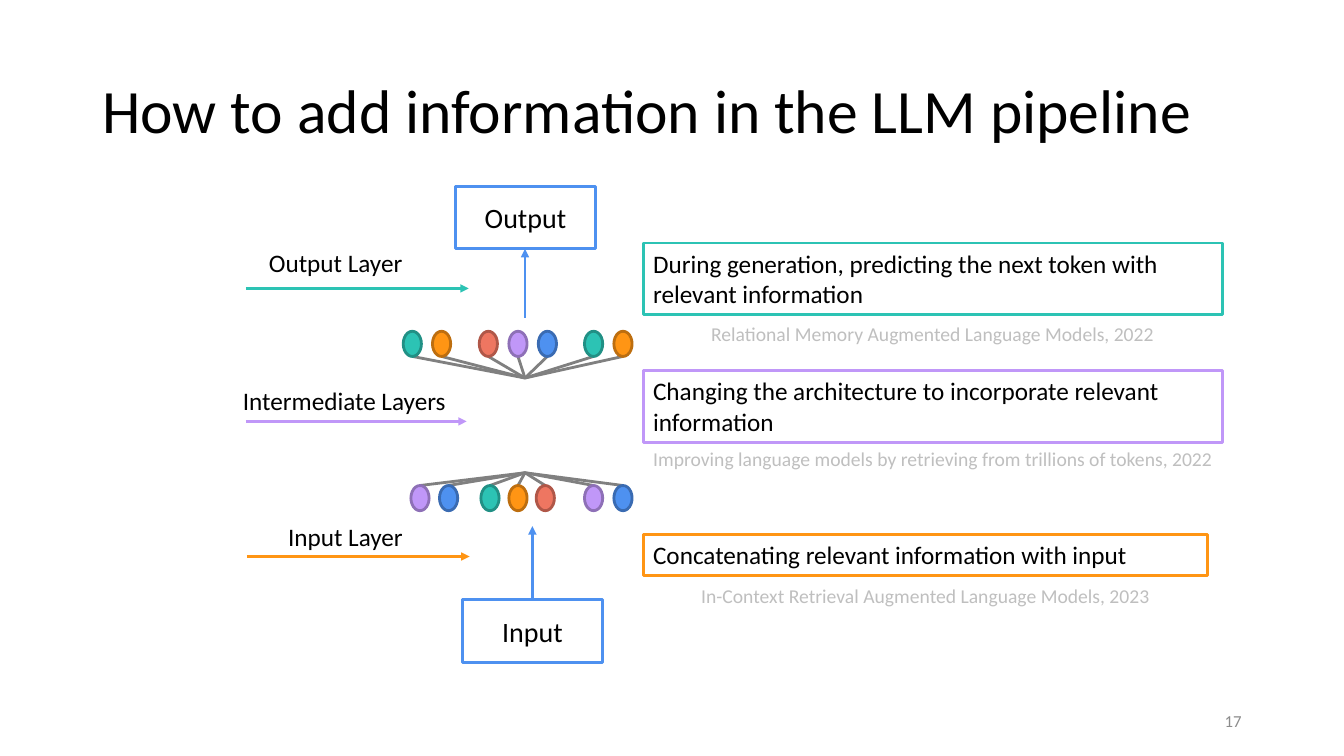
from dataclasses import dataclass

from lxml.etree import SubElement
from pptx import Presentation
from pptx.dml.color import RGBColor
from pptx.enum.shapes import MSO_CONNECTOR, MSO_SHAPE
from pptx.enum.text import MSO_ANCHOR, PP_ALIGN
from pptx.oxml.ns import qn
from pptx.shapes.autoshape import Shape
from pptx.slide import Slide
from pptx.util import Pt

BLACK = RGBColor(0x00, 0x00, 0x00)
NUMBER_GRAY = RGBColor(0x8C, 0x8C, 0x8C)
NOTE_GRAY = RGBColor(0xBF, 0xBF, 0xBF)
LINK_GRAY = RGBColor(0x80, 0x80, 0x80)
TEAL = RGBColor(0x2C, 0xC3, 0xB4)
ORANGE = RGBColor(0xFF, 0x95, 0x14)
RED = RGBColor(0xEE, 0x76, 0x61)
PURPLE = RGBColor(0xC0, 0x97, 0xF8)
BLUE = RGBColor(0x4E, 0x91, 0xF0)
OUTLINES = {
    TEAL: RGBColor(0x21, 0x90, 0x85),
    ORANGE: RGBColor(0xBD, 0x6E, 0x0F),
    RED: RGBColor(0xB0, 0x57, 0x48),
    PURPLE: RGBColor(0x8E, 0x70, 0xB7),
    BLUE: RGBColor(0x3A, 0x6B, 0xB2),
}

FONT = "Calibri"
LINE_WIDTH = 2
TOKEN_WIDTH, TOKEN_HEIGHT = 13, 18
HUB_X = 375
BOX_LEFT = 459.4

Point = tuple[float, float]
Frame = tuple[float, float, float, float]


@dataclass
class TokenRow:
    center_y: float
    hub_y: float
    tokens: list[tuple[float, RGBColor]]


@dataclass
class Layer:
    color: RGBColor
    label: str
    label_frame: Frame
    arrow_start: Point
    arrow_end_x: float
    method: str
    method_top: float
    method_size: Point
    paper: str
    paper_top: float
    paper_height: float


TOKEN_ROWS = [
    TokenRow(245.6, 270, [(294.5, TEAL), (315.4, ORANGE), (348.8, RED), (370, PURPLE),
                          (391, BLUE), (424, TEAL), (445, ORANGE)]),
    TokenRow(355.8, 337.7, [(300, PURPLE), (320.4, BLUE), (350, TEAL), (370, ORANGE),
                            (389.5, RED), (424, PURPLE), (445, BLUE)]),
]

LAYERS = [
    Layer(TEAL, "Output Layer", (185, 172.8, 123, 29), (175.7, 206), 334.8,
          "During generation, predicting the next token with relevant information",
          173.5, (413.6, 51),
          "Relational Memory Augmented Language Models, 2022", 226.1, 24.5),
    Layer(PURPLE, "Intermediate Layers", (166.4, 271.4, 178, 29), (175.7, 301), 333.4,
          "Changing the architecture to incorporate relevant information",
          264.8, (414, 51),
          "Improving language models by retrieving from trillions of tokens, 2022",
          315.4, 41),
    Layer(ORANGE, "Input Layer", (198.7, 368.8, 107, 29), (176.4, 397.5), 335.5,
          "Concatenating relevant information with input",
          382, (403.4, 29),
          "In-Context Retrieval Augmented Language Models, 2023", 413.3, 24.5),
]


def write_text(shape: Shape, text: str, *, size: float, color: RGBColor = BLACK,
               align: PP_ALIGN = PP_ALIGN.LEFT, anchor: MSO_ANCHOR = MSO_ANCHOR.TOP,
               wrap: bool = True, line_spacing: float = 1) -> None:
    text_frame = shape.text_frame
    text_frame.word_wrap = wrap
    text_frame.vertical_anchor = anchor
    paragraph = text_frame.paragraphs[0]
    paragraph.text = text
    paragraph.alignment = align
    paragraph.line_spacing = line_spacing
    font = paragraph.runs[0].font
    font.name = FONT
    font.size = Pt(size)
    font.color.rgb = color


def add_text_box(slide: Slide, frame: Frame) -> Shape:
    return slide.shapes.add_textbox(*map(Pt, frame))


def add_outlined_box(slide: Slide, frame: Frame, color: RGBColor) -> Shape:
    box = slide.shapes.add_shape(MSO_SHAPE.RECTANGLE, *map(Pt, frame))
    box.shadow.inherit = False
    box.fill.background()
    box.line.color.rgb = color
    box.line.width = Pt(LINE_WIDTH)
    return box


def add_line(slide: Slide, start: Point, end: Point, color: RGBColor,
             arrow: bool = False) -> None:
    connector = slide.shapes.add_connector(
        MSO_CONNECTOR.STRAIGHT, *map(Pt, (*start, *end)))
    connector.line.color.rgb = color
    connector.line.width = Pt(LINE_WIDTH)
    if arrow:
        SubElement(connector.line._get_or_add_ln(), qn("a:tailEnd"), type="triangle")
    SubElement(connector._element.spPr, qn("a:effectLst"))


def draw_token_row(slide: Slide, row: TokenRow) -> None:
    """Draw the links from the hub first, so that the tokens lie over them."""
    side = 1 if row.hub_y > row.center_y else -1
    edge_y = row.center_y + side * TOKEN_HEIGHT / 2
    for center_x, _ in row.tokens:
        add_line(slide, (HUB_X, row.hub_y), (center_x, edge_y), LINK_GRAY)
    for center_x, color in row.tokens:
        token = slide.shapes.add_shape(
            MSO_SHAPE.OVAL, Pt(center_x - TOKEN_WIDTH / 2),
            Pt(row.center_y - TOKEN_HEIGHT / 2), Pt(TOKEN_WIDTH), Pt(TOKEN_HEIGHT))
        token.shadow.inherit = False
        token.fill.solid()
        token.fill.fore_color.rgb = color
        token.line.color.rgb = OUTLINES[color]
        token.line.width = Pt(LINE_WIDTH)


def draw_layer(slide: Slide, layer: Layer) -> None:
    write_text(add_text_box(slide, layer.label_frame), layer.label, size=18, wrap=False)
    add_line(slide, layer.arrow_start, (layer.arrow_end_x, layer.arrow_start[1]),
             layer.color, arrow=True)
    width, height = layer.method_size
    method_box = add_outlined_box(
        slide, (BOX_LEFT, layer.method_top, width, height), layer.color)
    write_text(method_box, layer.method, size=18)
    paper_box = add_text_box(
        slide, (BOX_LEFT, layer.paper_top, width, layer.paper_height))
    write_text(paper_box, layer.paper, size=14, color=NOTE_GRAY, align=PP_ALIGN.CENTER)


def draw_endpoint(slide: Slide, text: str, left: float, top: float) -> None:
    box = add_outlined_box(slide, (left, top, 100, 44.6), BLUE)
    write_text(box, text, size=20, align=PP_ALIGN.CENTER, anchor=MSO_ANCHOR.MIDDLE)


def main() -> None:
    presentation = Presentation()
    presentation.slide_width = Pt(960)
    presentation.slide_height = Pt(540)
    slide = presentation.slides.add_slide(presentation.slide_layouts[6])

    write_text(add_text_box(slide, (66, 28.8, 828, 104.4)),
               "How to add information in the LLM pipeline",
               size=44, anchor=MSO_ANCHOR.MIDDLE, line_spacing=0.9)
    write_text(add_text_box(slide, (678, 500.5, 216, 28.8)), "17", size=12,
               color=NUMBER_GRAY, align=PP_ALIGN.RIGHT, anchor=MSO_ANCHOR.MIDDLE)

    for row in TOKEN_ROWS:
        draw_token_row(slide, row)
    draw_endpoint(slide, "Output", 325.4, 133.2)
    add_line(slide, (HUB_X, 226.8), (HUB_X, 177.8), BLUE, arrow=True)
    draw_endpoint(slide, "Input", 330.4, 428.4)
    add_line(slide, (380.3, 428.4), (380.3, 375.8), BLUE, arrow=True)
    for layer in LAYERS:
        draw_layer(slide, layer)

    presentation.save("out.pptx")


if __name__ == "__main__":
    main()
